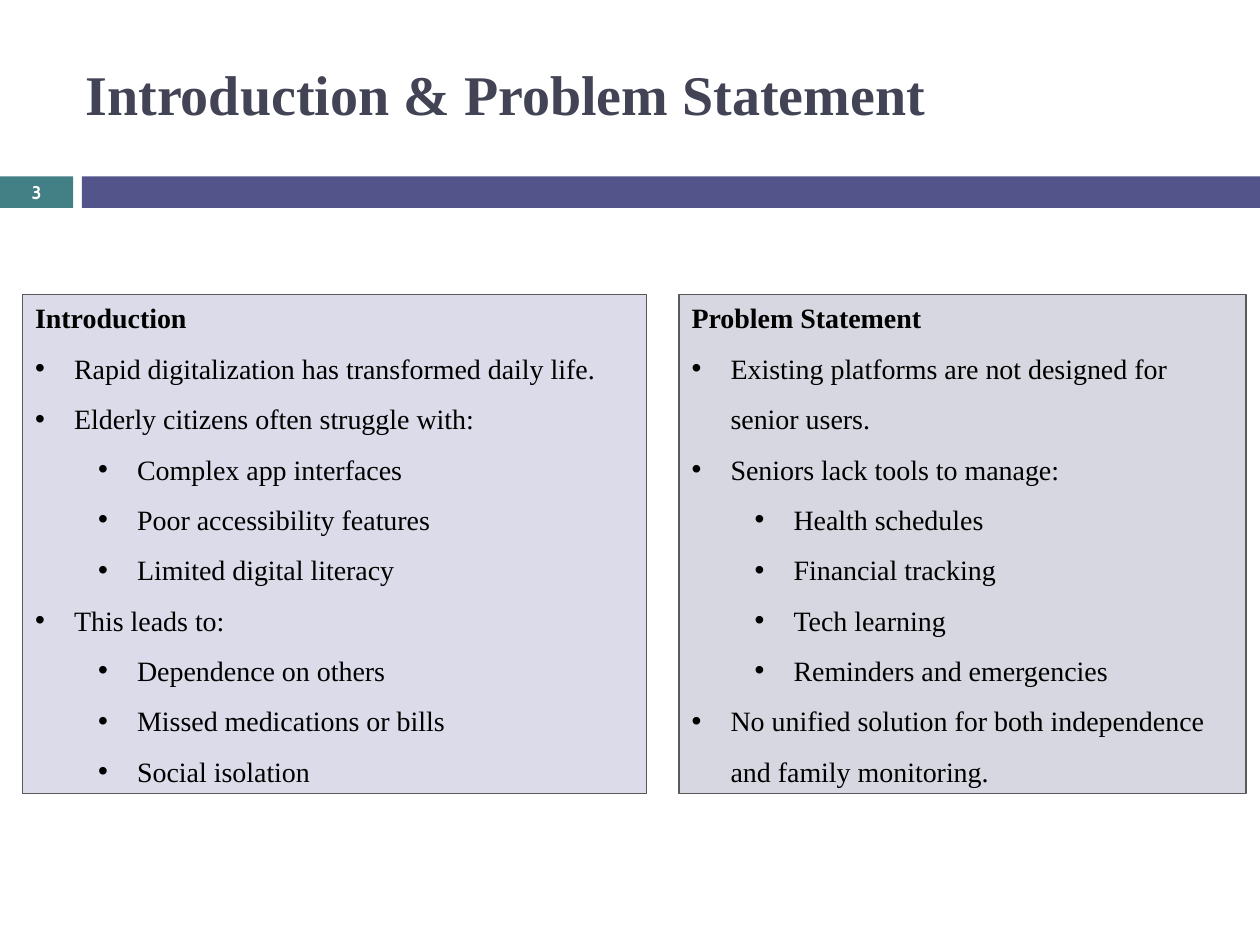
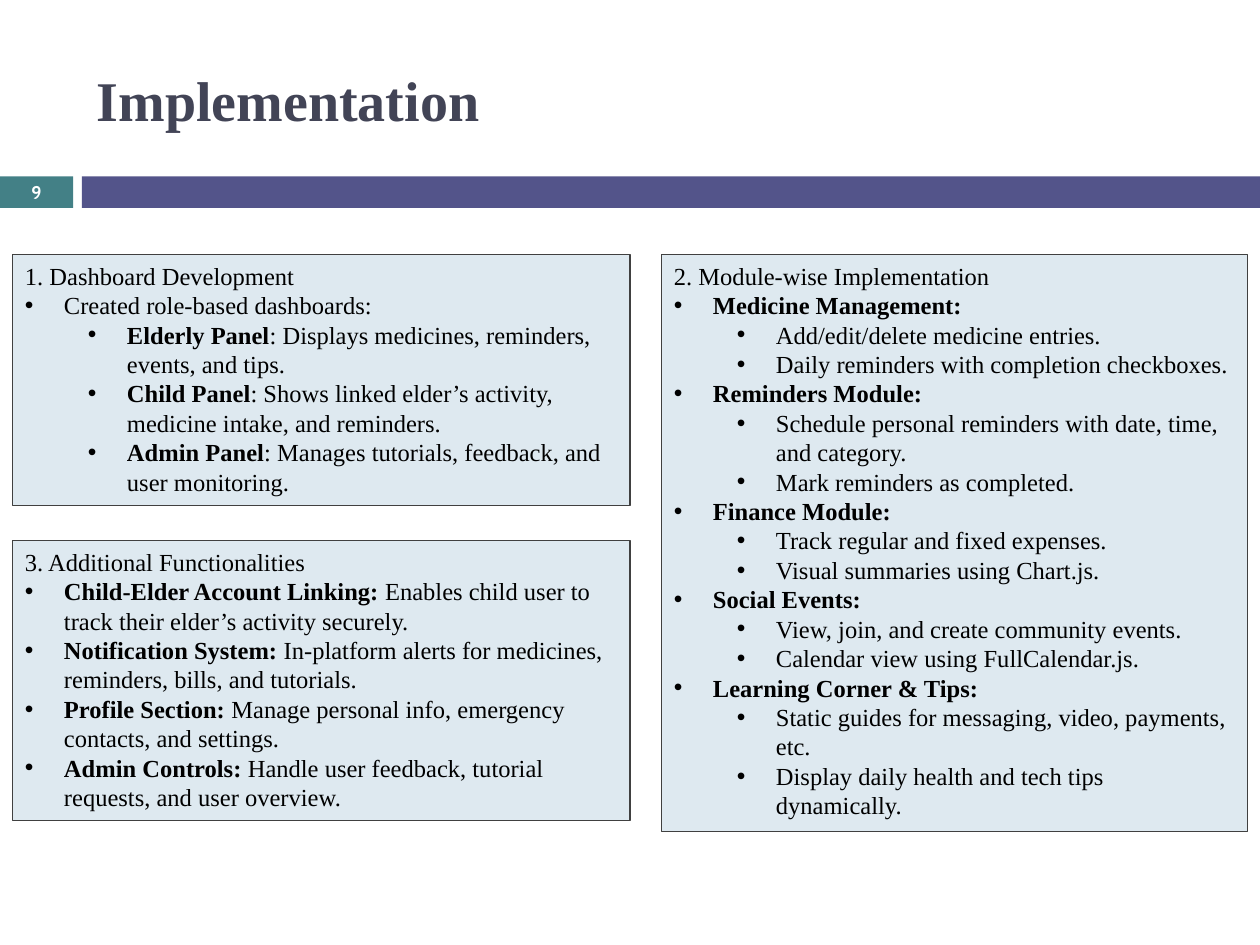
from dataclasses import dataclass

from lxml.etree import SubElement as Sub
from pptx import Presentation
from pptx.dml.color import RGBColor as Rgb
from pptx.enum.shapes import MSO_SHAPE as Shape
from pptx.enum.text import MSO_ANCHOR as Anchor, MSO_AUTO_SIZE as Auto, PP_ALIGN as Align
from pptx.oxml.ns import qn
from pptx.util import Inches, Pt


@dataclass(frozen=True)
class Theme:
    """Colours, fonts and type sizes of the deck."""
    serif: str = "Times New Roman"
    sans: str = "Cabin"
    teal: str = "438086"
    violet: str = "53548A"
    slate: str = "424456"
    white: str = "FFFFFF"
    black: str = "000000"
    lilac: str = "DBDBE9"
    grey: str = "D6D7E0"
    sky: str = "DEE9F0"
    edge: str = "595959"
    dark: str = "404040"
    title: float = 32
    large: float = 16
    small: float = 14
    page: float = 10.5


T = Theme()

INTRO = [
    (0, "", "Rapid digitalization has transformed daily life."),
    (0, "", "Elderly citizens often struggle with:"),
    (1, "", "Complex app interfaces"),
    (1, "", "Poor accessibility features"),
    (1, "", "Limited digital literacy"),
    (0, "", "This leads to:"),
    (1, "", "Dependence on others"),
    (1, "", "Missed medications or bills"),
    (1, "", "Social isolation"),
]
PROBLEM = [
    (0, "", "Existing platforms are not designed for senior users."),
    (0, "", "Seniors lack tools to manage:"),
    (1, "", "Health schedules"),
    (1, "", "Financial tracking"),
    (1, "", "Tech learning"),
    (1, "", "Reminders and emergencies"),
    (0, "", "No unified solution for both independence and family monitoring."),
]
PANELS = [
    (0, "", "Created role-based dashboards:"),
    (1, "Elderly Panel", ": Displays medicines, reminders, events, and tips."),
    (1, "Child Panel", ": Shows linked elder’s activity, medicine intake, and reminders."),
    (1, "Admin Panel", ": Manages tutorials, feedback, and user monitoring."),
]
MODULES = [
    (0, "Medicine Management:", ""),
    (1, "", "Add/edit/delete medicine entries."),
    (1, "", "Daily reminders with completion checkboxes."),
    (0, "Reminders Module:", ""),
    (1, "", "Schedule personal reminders with date, time, and category."),
    (1, "", "Mark reminders as completed."),
    (0, "Finance Module:", ""),
    (1, "", "Track regular and fixed expenses."),
    (1, "", "Visual summaries using Chart.js."),
    (0, "Social Events:", ""),
    (1, "", "View, join, and create community events."),
    (1, "", "Calendar view using FullCalendar.js."),
    (0, "Learning Corner & Tips:", ""),
    (1, "", "Static guides for messaging, video, payments, etc."),
    (1, "", "Display daily health and tech tips dynamically."),
]
EXTRAS = [
    (0, "Child-Elder Account Linking: ", "Enables child user to track their elder’s activity securely."),
    (0, "Notification System: ", "In-platform alerts for medicines, reminders, bills, and tutorials."),
    (0, "Profile Section: ", "Manage personal info, emergency contacts, and settings."),
    (0, "Admin Controls: ", "Handle user feedback, tutorial requests, and user overview."),
]


def add_run(para, text, size, color=T.black, bold=False, face=T.serif):
    """Append one styled run."""
    run = para.add_run()
    run.text = text
    font = run.font
    font.name, font.size, font.bold = face, Pt(size), bold
    font.color.rgb = Rgb.from_string(color)


def add_rect(slide, box, fill, edge=None):
    """Draw a flat rectangle, outlined if an edge colour is given."""
    rect = slide.shapes.add_shape(Shape.RECTANGLE, *map(Inches, box))
    rect.shadow.inherit = False
    rect.fill.solid()
    rect.fill.fore_color.rgb = Rgb.from_string(fill)
    if edge:
        rect.line.color.rgb = Rgb.from_string(edge)
        rect.line.width = Pt(0.75)
    else:
        rect.line.fill.background()
    return rect


def add_label(slide, box):
    """Add a wrapped, vertically centred text box and return its frame."""
    frame = slide.shapes.add_textbox(*map(Inches, box)).text_frame
    frame.word_wrap = True
    frame.vertical_anchor = Anchor.MIDDLE
    return frame


def set_bullet(para, level):
    """Give a paragraph a hanging bullet for its level."""
    para.level = level
    props = para._p.get_or_add_pPr()
    props.set("marL", str(Inches(0.31 + 0.5 * level)))
    props.set("indent", str(-Inches(0.31)))
    Sub(props, qn("a:buFont")).set("typeface", "Arial")
    Sub(props, qn("a:buChar")).set("char", "•")


def add_card(slide, box, head, items, fill, edge, size, bold=False, space=None):
    """Draw a filled card with a heading and bulleted items."""
    frame = add_rect(slide, box, fill, edge).text_frame
    frame.word_wrap = True
    frame.auto_size = Auto.SHAPE_TO_FIT_TEXT
    frame.vertical_anchor = Anchor.TOP
    para = frame.paragraphs[0]
    para.alignment = Align.LEFT
    add_run(para, head, size, bold=bold)
    for level, lead, rest in items:
        para = frame.add_paragraph()
        para.alignment = Align.LEFT
        set_bullet(para, level)
        if space:
            para.line_spacing = space
        for text, heavy in ((lead, True), (rest, False)):
            if text:
                add_run(para, text, size, bold=heavy)


def add_page(deck, title, number, left, top):
    """Add a slide with its bands, title and page number."""
    slide = deck.slides.add_slide(deck.slide_layouts[6])
    add_rect(slide, (0, 1.4, 0.58, 0.25), T.teal)
    add_rect(slide, (0.65, 1.4, 9.35, 0.25), T.violet)
    frame = add_label(slide, (left, top, 8.92, 1.08))
    add_run(frame.paragraphs[0], title, T.title, T.slate, True)
    frame = add_label(slide, (0, 1.39, 0.58, 0.27))
    frame.margin_top = frame.margin_bottom = 0
    para = frame.paragraphs[0]
    para.alignment = Align.CENTER
    add_run(para, str(number), T.page, T.white, True, T.sans)
    return slide


def add_intro(deck):
    """Build the introduction and problem slide."""
    slide = add_page(deck, "Introduction & Problem Statement", 3, 0.58, 0.2)
    for left, width, head, items, fill in (
        (0.18, 4.95, "Introduction", INTRO, T.lilac),
        (5.39, 4.5, "Problem Statement", PROBLEM, T.grey),
    ):
        add_card(slide, (left, 2.34, width, 3.96), head, items, fill, T.edge,
                 T.large, bold=True, space=1.5)


def add_build(deck):
    """Build the implementation slide."""
    slide = add_page(deck, "Implementation", 9, 0.67, 0.25)
    for box, head, items in (
        ((0.1, 2.02, 4.9, 1.99), "1. Dashboard Development", PANELS),
        ((5.25, 2.02, 4.65, 4.58), "2. Module-wise Implementation", MODULES),
        ((0.1, 4.29, 4.9, 2.22), "3. Additional Functionalities", EXTRAS),
    ):
        add_card(slide, box, head, items, T.sky, T.dark, T.small)


def main():
    """Build and save the deck."""
    deck = Presentation()
    deck.slide_width, deck.slide_height = Inches(10), Inches(7.5)
    add_intro(deck)
    add_build(deck)
    deck.save("out.pptx")


if __name__ == "__main__":
    main()
